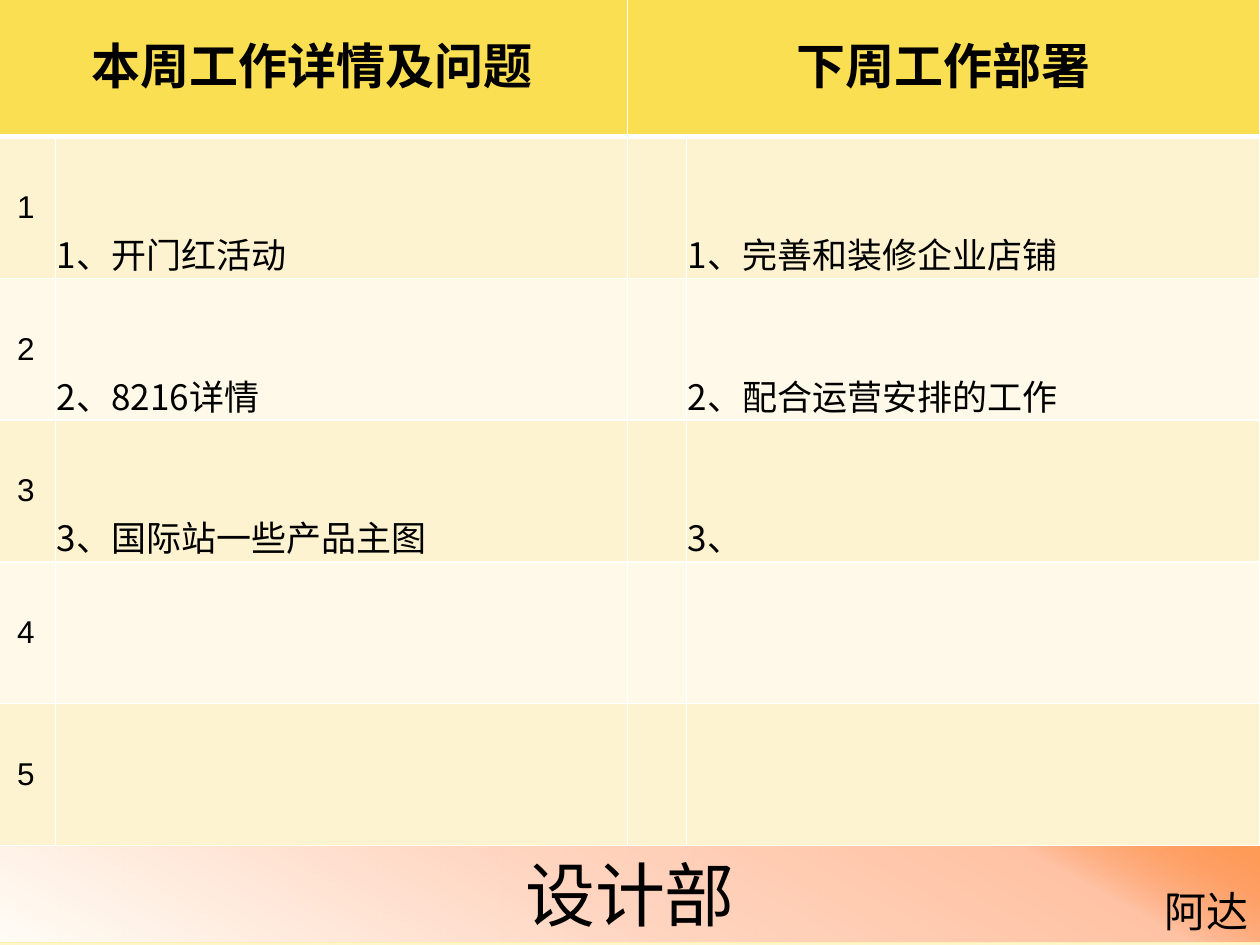
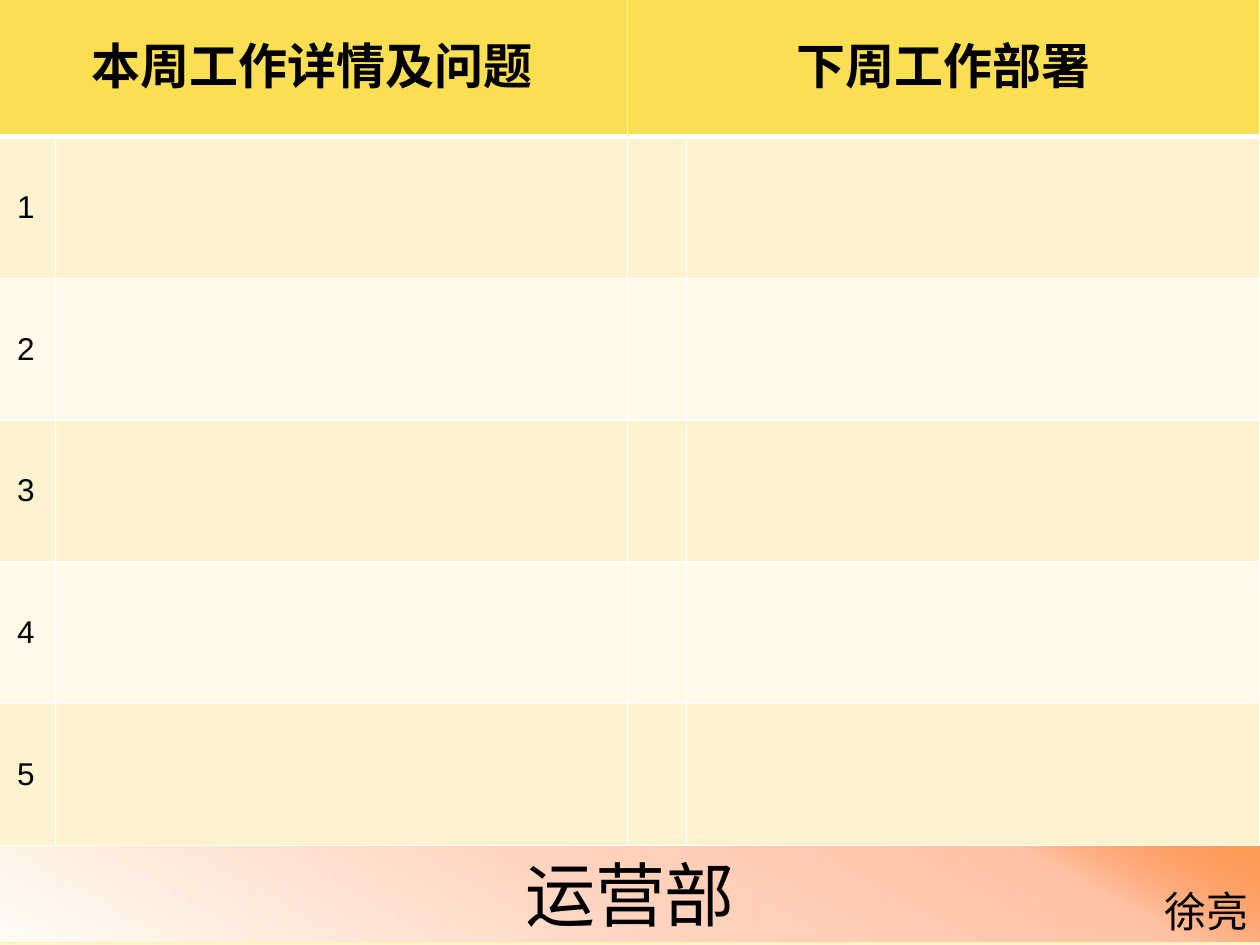
from lxml import etree
from pptx import Presentation
from pptx.dml.color import RGBColor
from pptx.enum import shapes, text
from pptx.oxml.ns import qn
from pptx.util import Inches, Pt

HEADINGS = ["本周工作详情及问题", "下周工作部署"]
REPORTS = [
    {
        "department": "设计部",
        "member": "阿达",
        "done": ["1、开门红活动", "2、8216详情", "3、国际站一些产品主图"],
        "planned": ["1、完善和装修企业店铺", "2、配合运营安排的工作", "3、"],
    },
    {"department": "运营部", "member": "徐亮", "done": [], "planned": []},
]
ITEM_COUNT = 5

BLACK = RGBColor(0x00, 0x00, 0x00)
WHITE = RGBColor(0xFF, 0xFF, 0xFF)
GOLD = RGBColor(0xFB, 0xDF, 0x53)
ROW_FILLS = [RGBColor(0xFD, 0xF3, 0xD1), RGBColor(0xFE, 0xF9, 0xE9)]
CREAM = RGBColor(0xFF, 0xFD, 0xF6)
SAND = RGBColor(0xFD, 0xF1, 0xB2)
PALE = RGBColor(0xFE, 0xF5, 0xCB)
BLUSH = RGBColor(0xFF, 0xD6, 0xC2)
PEACH = RGBColor(0xFF, 0xC2, 0xA3)
ORANGE = RGBColor(0xFF, 0x5D, 0x0D)
PAGE_STOPS = [(0, CREAM, 100), (74, SAND, 100), (83, SAND, 100), (100, PALE, 100)]
BAND_STOPS = [(0, CREAM, 100), (45, BLUSH, 100), (83, PEACH, 100), (100, ORANGE, 58)]

CJK = "Noto Sans CJK SC"
COLUMN_WIDTHS = [0.47, 4.54, 0.47, 4.55]
TABLE_LEFT, TABLE_TOP, TABLE_HEIGHT = -0.03, -0.04, 6.75
HEADING_INSETS = (0.01, 0.01, 0.01, 0.05)
ITEM_INSETS = (0.01, 0.01, 0.01, 0)


def paint_gradient(fill, owner, stops, angle):
    fill.gradient()
    fill.gradient_angle = angle
    stop_list = owner.find(".//" + qn("a:gsLst"))
    for old_stop in list(stop_list):
        stop_list.remove(old_stop)
    for position, color, opacity in stops:
        stop = etree.SubElement(stop_list, qn("a:gs"), pos=str(position * 1000))
        tint = etree.SubElement(stop, qn("a:srgbClr"), val=str(color))
        if opacity < 100:
            etree.SubElement(tint, qn("a:alpha"), val=str(opacity * 1000))


def write(frame, words, size, align, font=CJK, bold=False):
    frame.text = words
    paragraph = frame.paragraphs[0]
    paragraph.alignment = align
    for run in paragraph.runs:
        run.font.size = Pt(size)
        run.font.bold = bold
        run.font.name = font
        run.font.color.rgb = BLACK
        etree.SubElement(run.font._element, qn("a:ea"), typeface=font)


def write_cell(cell, words, size, align, anchor, insets=None, **style):
    cell.vertical_anchor = anchor
    if insets:
        (cell.margin_left, cell.margin_top,
         cell.margin_right, cell.margin_bottom) = map(Inches, insets)
    write(cell.text_frame, words, size, align, **style)


def finish_cell(cell, row):
    properties = cell._tc.get_or_add_tcPr()
    widths = {"L": 1, "R": 1, "T": 3 if row == 1 else 1, "B": 3 if row == 0 else 1}
    for side, width in widths.items():
        border = etree.SubElement(properties, qn("a:ln" + side), w=str(Pt(width)))
        paint = etree.SubElement(border, qn("a:solidFill"))
        etree.SubElement(paint, qn("a:srgbClr"), val=str(WHITE))
    cell.fill.solid()
    cell.fill.fore_color.rgb = ROW_FILLS[(row - 1) % 2] if row else GOLD


def add_footer(slide, department, member):
    band = slide.shapes.add_shape(shapes.MSO_SHAPE.RECTANGLE, Inches(-0.02),
                                  Inches(6.71), Inches(10.04), Inches(0.77))
    band.shadow.inherit = False
    paint_gradient(band.fill, band._element, BAND_STOPS, 61)
    band.line.color.rgb = SAND
    band.line.width = Pt(0.75)
    write(band.text_frame, department, 40, text.PP_ALIGN.CENTER)

    signature = slide.shapes.add_textbox(Inches(9.14), Inches(6.98),
                                         Inches(0.87), Inches(0.5)).text_frame
    signature.word_wrap = False
    signature.vertical_anchor = text.MSO_ANCHOR.MIDDLE
    write(signature, member, 24, text.PP_ALIGN.RIGHT)


def add_work_table(slide, done, planned):
    rows = ITEM_COUNT + 1
    table = slide.shapes.add_table(
        rows, len(COLUMN_WIDTHS), Inches(TABLE_LEFT), Inches(TABLE_TOP),
        Inches(sum(COLUMN_WIDTHS)), Inches(TABLE_HEIGHT)).table
    table.first_row = table.horz_banding = False
    for column, width in zip(table.columns, COLUMN_WIDTHS):
        column.width = Inches(width)
    for row in table.rows:
        row.height = Inches(TABLE_HEIGHT / rows)

    center, middle = text.PP_ALIGN.CENTER, text.MSO_ANCHOR.MIDDLE
    for half, heading in enumerate(HEADINGS):
        cell = table.cell(0, 2 * half)
        cell.merge(table.cell(0, 2 * half + 1))
        write_cell(cell, heading, 28, center, middle, HEADING_INSETS, bold=True)
    for number in range(1, rows):
        write_cell(table.cell(number, 0), str(number), 18, center, middle, font="Arial")
    for column, items in ((1, done), (3, planned)):
        for number, item in enumerate(items, 1):
            write_cell(table.cell(number, column), item, 20, text.PP_ALIGN.LEFT,
                       text.MSO_ANCHOR.BOTTOM, ITEM_INSETS)
    for row in range(rows):
        for column in range(len(COLUMN_WIDTHS)):
            finish_cell(table.cell(row, column), row)


def main():
    deck = Presentation()
    deck.slide_width, deck.slide_height = Inches(10), Inches(7.5)
    for report in REPORTS:
        slide = deck.slides.add_slide(deck.slide_layouts[6])
        paint_gradient(slide.background.fill, slide._element, PAGE_STOPS, 270)
        add_footer(slide, report["department"], report["member"])
        add_work_table(slide, report["done"], report["planned"])
    deck.save("out.pptx")


if __name__ == "__main__":
    main()
